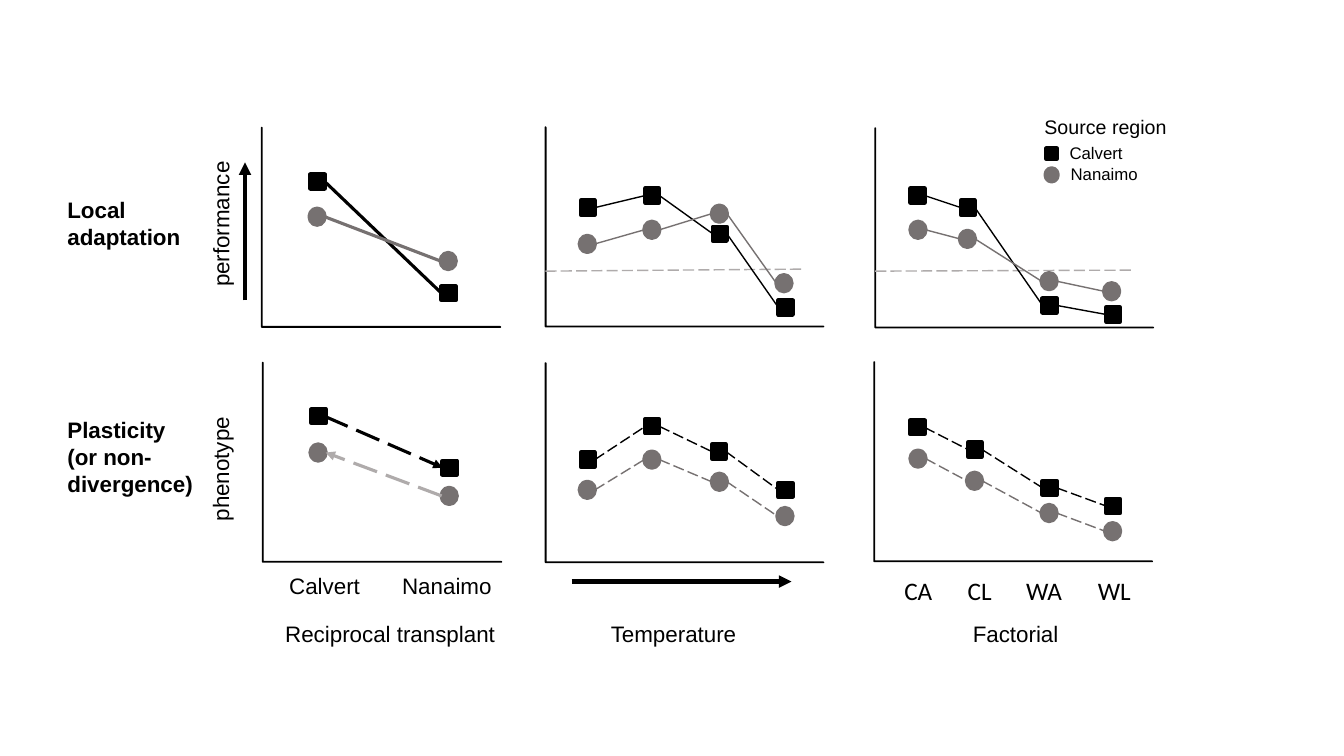
from itertools import pairwise

from lxml import etree
from pptx import Presentation
from pptx.dml.color import RGBColor
from pptx.enum.dml import MSO_LINE
from pptx.enum.shapes import MSO_CONNECTOR, MSO_SHAPE
from pptx.enum.text import MSO_AUTO_SIZE
from pptx.oxml.ns import qn
from pptx.util import Inches, Pt

HALF_FRAME = MSO_SHAPE.HALF_FRAME
SQUARE = MSO_SHAPE.RECTANGLE
CIRCLE = MSO_SHAPE.OVAL
STRAIGHT = MSO_CONNECTOR.STRAIGHT
LONG_DASH = MSO_LINE.LONG_DASH
FIT_TEXT = MSO_AUTO_SIZE.SHAPE_TO_FIT_TEXT

BLACK, GREY, LIGHT_GREY = "000000", "767171", "AFABAB"
# Marker of each source region: shape, colour, width, height
CALVERT = (SQUARE, BLACK, 0.14, 0.14)
NANAIMO = (CIRCLE, GREY, 0.15, 0.16)
CALVERT_KEY = (SQUARE, BLACK, 0.1, 0.11)
NANAIMO_KEY = (CIRCLE, GREY, 0.12, 0.13)

# Centre x, centre y and length of the horizontal axis
AXES = [
    (3.78, 2.255, 2.37), (3.79, 4.585, 2.37),
    (6.79, 2.25, 2.76), (6.79, 4.59, 2.76),
    (10.06, 2.26, 2.76), (10.05, 4.58, 2.76),
]
AXIS_HEIGHT = 1.98

# Region, dashed, left and top of each marker
CURVES = [
    (CALVERT, False, [(5.76, 1.99), (6.4, 1.87), (7.07, 2.25), (7.72, 2.98)]),
    (NANAIMO, False, [(5.75, 2.34), (6.39, 2.2), (7.06, 2.04), (7.7, 2.73)]),
    (CALVERT, True, [(5.76, 4.49), (6.4, 4.16), (7.06, 4.41), (7.72, 4.79)]),
    (NANAIMO, True, [(5.75, 4.78), (6.39, 4.48), (7.06, 4.7), (7.71, 5.04)]),
    (CALVERT, False, [(9.03, 1.87), (9.53, 1.99), (10.34, 2.96), (10.97, 3.05)]),
    (NANAIMO, False, [(9.03, 2.2), (9.52, 2.29), (10.33, 2.71), (10.95, 2.81)]),
    (CALVERT, True, [(9.03, 4.17), (9.6, 4.39), (10.34, 4.77), (10.97, 4.95)]),
    (NANAIMO, True, [(9.03, 4.47), (9.59, 4.69), (10.33, 5.01), (10.96, 5.19)]),
]

# Text, left, top, width, height
CAPTIONS = [
    ("Calvert", 2.77, 5.63, 0.91, 0.37),
    ("Nanaimo", 3.89, 5.63, 1.1, 0.37),
    ("Reciprocal transplant", 2.73, 6.1, 2.31, 0.37),
    ("Temperature", 5.96, 6.1, 1.46, 0.37),
    ("Factorial", 9.55, 6.1, 1.06, 0.37),
]
ROW_TITLES = [
    ("Local adaptation", 0.57, 1.9, 1.36, 0.64),
    ("Plasticity\n(or non-divergence)", 0.57, 4.08, 1.71, 0.91),
]
Y_LABELS = [
    ("performance", 1.46, 2.03, 1.46, 0.37),
    ("phenotype", 1.56, 4.46, 1.25, 0.37),
]
TREATMENTS = [("CA", 8.87, 0.48), ("CL", 9.5, 0.44), ("WA", 10.08, 0.56), ("WL", 10.79, 0.53)]


def rgb(value):
    return RGBColor.from_string(value)


def add_text(s, text, x, y, w, h, size=16, font="Arial", bold=False, wrap=False, rotation=0):
    box = s.shapes.add_textbox(Inches(x), Inches(y), Inches(w), Inches(h))
    box.rotation = rotation
    tf = box.text_frame
    tf.text = text
    tf.word_wrap = wrap
    tf.auto_size = FIT_TEXT
    for p in tf.paragraphs:
        p.font.name = font
        p.font.size = Pt(size)
        p.font.bold = bold
        p.font.color.rgb = rgb(BLACK)


def add_filled(s, kind, x, y, w, h, color, line_width):
    sp = s.shapes.add_shape(kind, Inches(x), Inches(y), Inches(w), Inches(h))
    sp.shadow.inherit = False
    sp.fill.solid()
    sp.fill.fore_color.rgb = rgb(color)
    sp.line.color.rgb = rgb(color)
    sp.line.width = Pt(line_width)
    return sp


def add_axes(s, cx, cy, length):
    """Draw both axes as one half frame turned so that its corner is at bottom left."""
    sp = add_filled(s, HALF_FRAME, cx - AXIS_HEIGHT / 2, cy - length / 2,
                    AXIS_HEIGHT, length, BLACK, 1)
    sp.adjustments[0] = sp.adjustments[1] = 0.002
    sp.rotation = 270


def add_marker(s, region, x, y):
    kind, color, w, h = region
    add_filled(s, kind, x, y, w, h, color, 3)


def add_line(s, start, end, color=BLACK, width=1, dashed=False, arrow=False):
    line = s.shapes.add_connector(STRAIGHT, *map(Inches, start + end))
    line.line.color.rgb = rgb(color)
    line.line.width = Pt(width)
    if dashed:
        line.line.dash_style = LONG_DASH
    if arrow:
        etree.SubElement(line.line._get_or_add_ln(), qn("a:tailEnd"), type="triangle")
    etree.SubElement(line._element.spPr, qn("a:effectLst"))


def add_curve(s, region, dashed, points):
    """Draw the markers, and lines from each one's right edge to the next one's left edge."""
    _, color, w, h = region
    for x, y in points:
        add_marker(s, region, x, y)
    for (x1, y1), (x2, y2) in pairwise(points):
        add_line(s, (x1 + w, y1 + h / 2), (x2, y2 + h / 2), color, dashed=dashed)


def add_transplants(s):
    for region, x, y in [(CALVERT, 3.08, 1.73), (CALVERT, 4.38, 2.84),
                         (NANAIMO, 3.07, 2.07), (NANAIMO, 4.37, 2.51),
                         (CALVERT, 3.09, 4.06), (CALVERT, 4.39, 4.57),
                         (NANAIMO, 3.08, 4.41), (NANAIMO, 4.38, 4.84)]:
        add_marker(s, region, x, y)
    add_line(s, (3.22, 1.8), (4.38, 2.91), BLACK, 2.25)
    add_line(s, (3.22, 2.15), (4.37, 2.59), GREY, 2.25)
    add_line(s, (3.22, 4.13), (4.39, 4.64), BLACK, 2.25, dashed=True, arrow=True)
    add_line(s, (4.38, 4.92), (3.23, 4.49), LIGHT_GREY, 2.25, dashed=True, arrow=True)


def add_legend(s):
    add_text(s, "Source region", 10.26, 1.09, 1.42, 0.34, size=14)
    add_marker(s, CALVERT_KEY, 10.38, 1.47)
    add_text(s, "Calvert", 10.51, 1.37, 0.73, 0.3, size=12)
    add_marker(s, NANAIMO_KEY, 10.37, 1.67)
    add_text(s, "Nanaimo", 10.52, 1.58, 0.87, 0.3, size=12)


def main():
    prs = Presentation()
    prs.slide_width, prs.slide_height = Inches(13.33), Inches(7.5)
    s = prs.slides.add_slide(prs.slide_layouts[6])

    for axes in AXES:
        add_axes(s, *axes)
    add_line(s, (5.41, 2.69), (7.98, 2.67), LIGHT_GREY, dashed=True)
    add_line(s, (8.68, 2.69), (11.24, 2.68), LIGHT_GREY, dashed=True)
    add_transplants(s)
    for curve in CURVES:
        add_curve(s, *curve)

    for caption in CAPTIONS:
        add_text(s, *caption)
    for title in ROW_TITLES:
        add_text(s, *title, bold=True, wrap=True)
    for label in Y_LABELS:
        add_text(s, *label, rotation=270)
    for text, x, w in TREATMENTS:
        add_text(s, text, x, 5.66, w, 0.4, size=18, font="Calibri")

    add_line(s, (2.43, 2.98), (2.43, 1.61), width=3, arrow=True)
    add_line(s, (5.67, 5.77), (7.85, 5.77), width=3, arrow=True)
    add_legend(s)
    prs.save("out.pptx")


if __name__ == "__main__":
    main()
